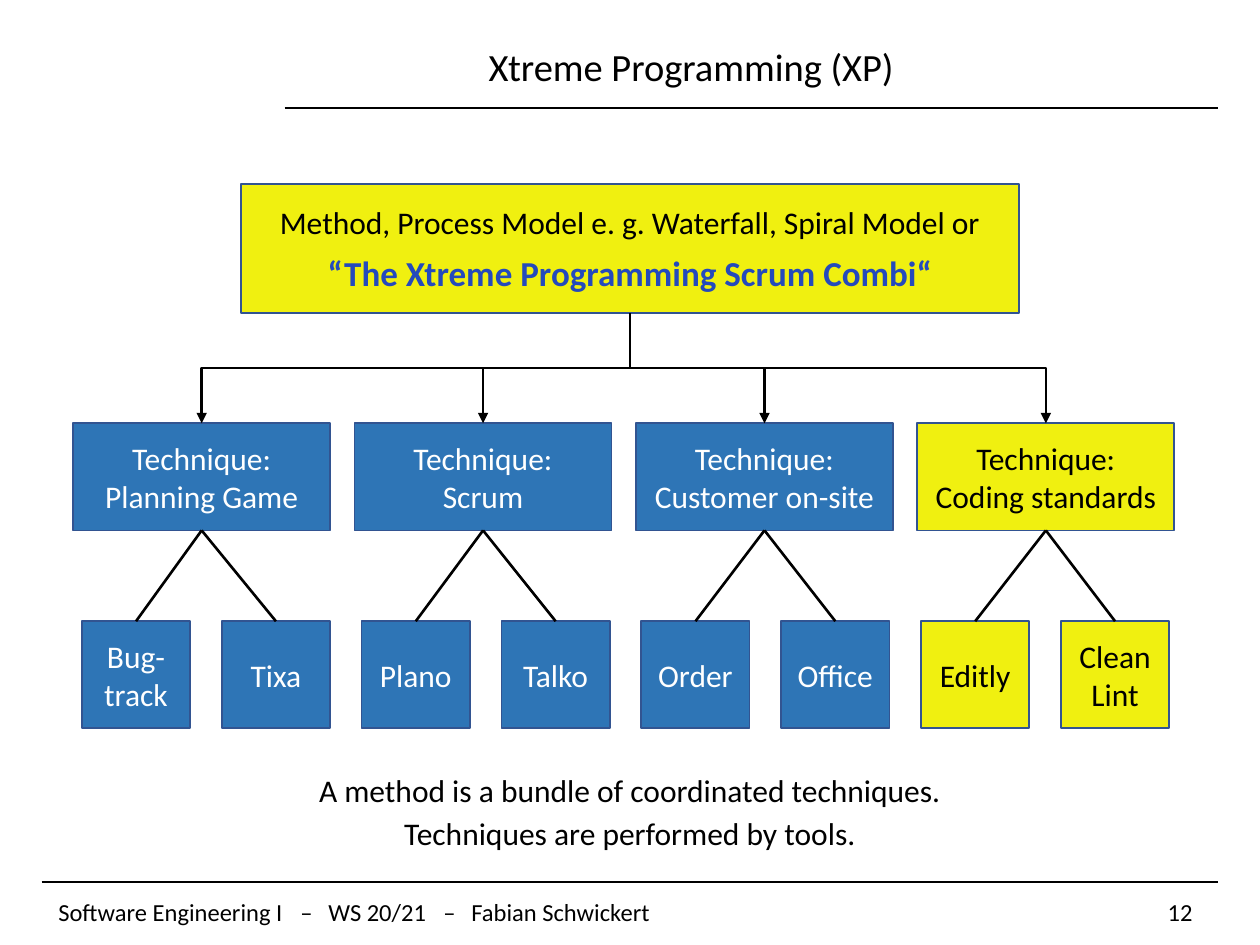
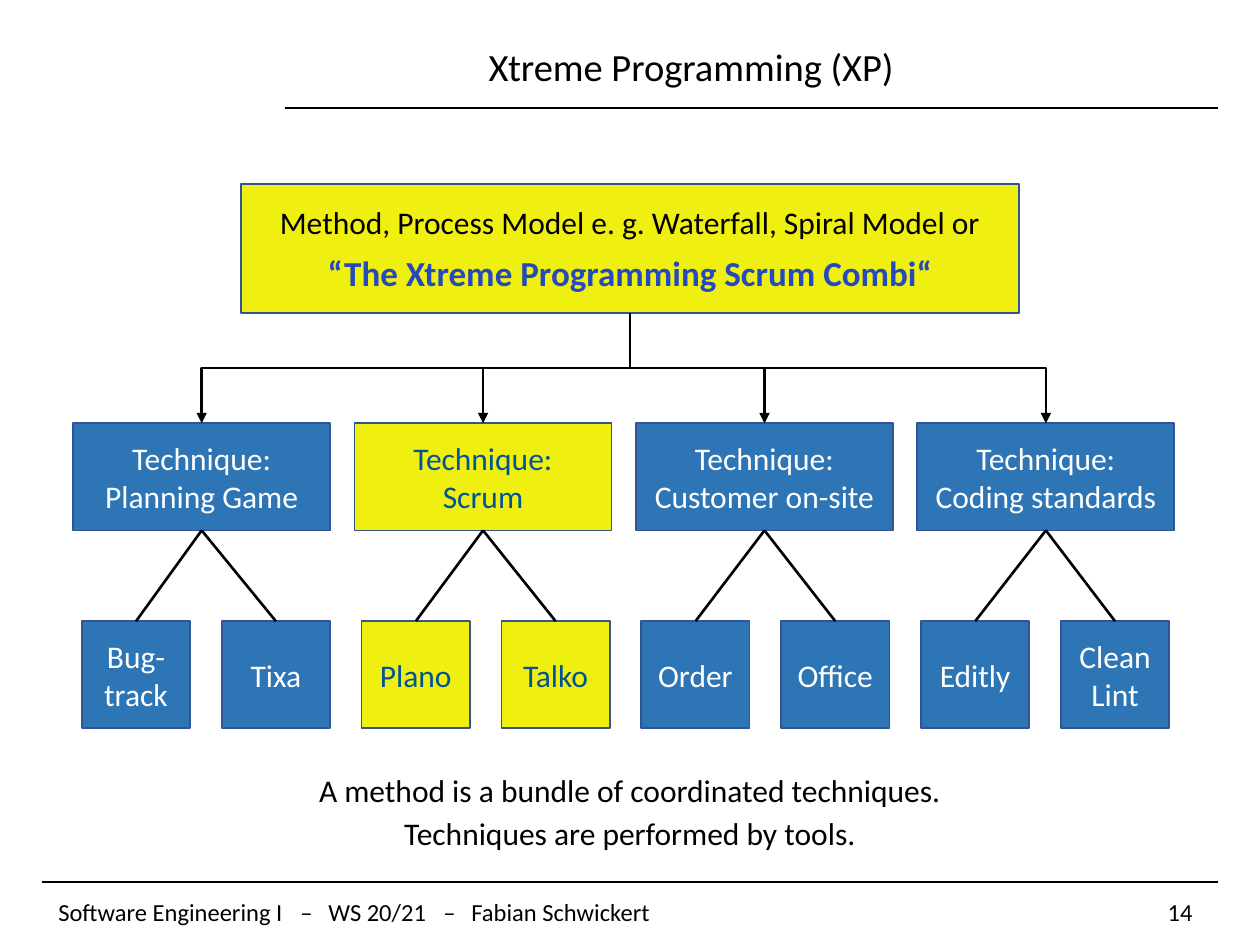
from typing import NamedTuple

from lxml.etree import SubElement
from pptx import Presentation
from pptx.dml.color import RGBColor
from pptx.enum.shapes import MSO_CONNECTOR as CONN, MSO_SHAPE
from pptx.enum.text import MSO_ANCHOR as ANCHOR, PP_ALIGN as ALIGN
from pptx.oxml.ns import qn
from pptx.util import Pt

BLACK = RGBColor(0x00, 0x00, 0x00)
WHITE = RGBColor(0xFF, 0xFF, 0xFF)
YELLOW = RGBColor(0xF0, 0xF0, 0x10)
BLUE = RGBColor(0x2E, 0x75, 0xB6)
EDGE = RGBColor(0x32, 0x54, 0x91)
COMBI = RGBColor(0x24, 0x4A, 0xBC)
NAVY = RGBColor(0x00, 0x54, 0x93)
FONT = "Calibri"

TITLE = "Xtreme Programming (XP)"
FOOTER = ("Software Engineering I", "–", "WS 20/21", "–", "Fabian Schwickert")
FOOTER_TABS = (138.3, 154.3, 220, 236)
METHOD = ("Method, Process Model e. g. Waterfall, Spiral Model or",
          "“The Xtreme Programming Scrum Combi“")
TECHNIQUES = (
    ("Planning Game", ("Bug-track", "Tixa")),
    ("Scrum", ("Plano", "Talko")),
    ("Customer on-site", ("Order", "Office")),
    ("Coding standards", ("Editly", "Clean Lint")),
)
SUMMARY = ("A method is a bundle of coordinated techniques.",
           "Techniques are performed by tools.")
SLIDES = (("12", "Coding standards", BLACK), ("14", "Scrum", NAVY))


class Box(NamedTuple):
    """A rectangle in points."""
    left: float
    top: float
    width: float
    height: float

    def inner(self, left, top, width, height):
        """Return a box placed relative to this one."""
        return Box(self.left + left, self.top + top, width, height)

    def emu(self):
        """Return the four lengths for python-pptx."""
        return [Pt(v) for v in self]


TITLE_BOX = Box(98, 20.9, 594, 33.8)
DIAGRAM_BOX = Box(41.8, 105.1, 630, 312)
SUMMARY_BOX = Box(164.9, 433.4, 390.2, 56.2)
FOOTER_BOX = Box(23.8, 504, 672.4, 26)


def write(tf, lines, size, color, align=ALIGN.CENTER):
    """Fill a text frame with uniformly formatted paragraphs."""
    tf.word_wrap = True
    tf.text = "\n".join(lines)
    for p in tf.paragraphs:
        p.alignment = align
        for r in p.runs:
            f = r.font
            f.name, f.size, f.color.rgb = FONT, Pt(size), color


def add_text(slide, box, lines, size, align=ALIGN.CENTER):
    """Add a black text box and return its text frame."""
    tf = slide.shapes.add_textbox(*box.emu()).text_frame
    write(tf, lines, size, BLACK, align)
    return tf


def add_block(slide, box, lines, fill, color):
    """Add a filled, outlined rectangle with centred text."""
    s = slide.shapes.add_shape(MSO_SHAPE.RECTANGLE, *box.emu())
    s.shadow.inherit = False
    s.fill.solid()
    s.fill.fore_color.rgb = fill
    s.line.color.rgb, s.line.width = EDGE, Pt(1)
    s.text_frame.vertical_anchor = ANCHOR.MIDDLE
    write(s.text_frame, lines, 18, color)
    return s


def add_line(slide, x1, y1, x2, y2, width, kind=CONN.STRAIGHT):
    """Add a black connector without shadow."""
    c = slide.shapes.add_connector(kind, Pt(x1), Pt(y1), Pt(x2), Pt(y2))
    c.line.color.rgb, c.line.width = BLACK, Pt(width)
    SubElement(c._element.spPr, qn("a:effectLst"))
    return c


def add_elbow_arrow(slide, x1, y1, x2, y2):
    """Add an arrow that goes down, sideways and down again."""
    mid_x, mid_y = (x1 + x2) / 2, (y1 + y2) / 2
    half_w, half_h = (y2 - y1) / 2, abs(x2 - x1) / 2
    side, turn = (1, 270) if x2 > x1 else (-1, 90)
    c = add_line(slide, mid_x + side * half_w, mid_y - half_h,
                 mid_x - side * half_w, mid_y + half_h, 1.5, CONN.ELBOW)
    c._element.spPr.find(qn("a:xfrm")).set("rot", str(turn * 60000))
    SubElement(c.line._get_or_add_ln(), qn("a:tailEnd"), type="triangle")


def add_title(slide, box):
    """Place the title and the rule below it."""
    s = slide.shapes.title
    s.left, s.top, s.width, s.height = box.emu()
    write(s.text_frame, [TITLE], 22, BLACK)
    s.text_frame.vertical_anchor = ANCHOR.MIDDLE
    rule_y = box.top + 41
    add_line(slide, box.left + 64.7, rule_y, 696.2, rule_y, 1)


def add_footer(slide, box, number):
    """Place the footer rule, the course line and the page number."""
    add_line(slide, box.left, box.top, box.left + box.width, box.top, 1)
    tf = add_text(slide, box.inner(0, 8.6, 492, 17.3), ["\t".join(FOOTER)], 14, ALIGN.LEFT)
    tf.margin_left, tf.margin_top, tf.margin_bottom = Pt(9.5), 0, 0
    tabs = SubElement(tf.paragraphs[0]._p.get_or_add_pPr(), qn("a:tabLst"))
    for pos in FOOTER_TABS:
        SubElement(tabs, qn("a:tab"), pos=str(Pt(pos)), algn="l")
    tf = add_text(slide, box.inner(636.4, 8.6, 40.3, 17.3), [number], 14, ALIGN.LEFT)
    tf.vertical_anchor = ANCHOR.MIDDLE


def add_method(slide, box):
    """Add the block for the overall method."""
    s = add_block(slide, box, METHOD, YELLOW, BLACK)
    first, second = s.text_frame.paragraphs
    first.space_after = Pt(6)
    f = second.runs[0].font
    f.size, f.bold, f.color.rgb = Pt(20), True, COMBI


def add_diagram(slide, box, marked, marked_color):
    """Draw the tree of method, techniques and tools."""
    method = box.inner(95.7, 0, 445, 73.8)
    add_method(slide, method)
    for i, (name, tools) in enumerate(TECHNIQUES):
        colors = (YELLOW, marked_color) if name == marked else (BLUE, WHITE)
        place = box.inner(160.8 * i, 136.8, 146.9, 61.2)
        technique = add_block(slide, place, ["Technique:", name], *colors)
        for j, tool in enumerate(tools, 2 * i):
            tool_place = box.inner(5 + 79.92 * j, 249.9, 61.9, 61.2)
            s = add_block(slide, tool_place, [tool], *colors)
            c = add_line(slide, 0, 0, 0, 0, 1.5)
            c.begin_connect(technique, 2)
            c.end_connect(s, 0)
        add_elbow_arrow(slide, method.left + method.width / 2, method.top + method.height,
                        place.left + place.width / 2, place.top)


def add_summary(slide, box):
    """Add the two closing sentences."""
    for p in add_text(slide, box, SUMMARY, 18).paragraphs:
        p.line_spacing = Pt(25)


def add_technique_slide(prs, number, marked, marked_color):
    """Build one slide with one technique highlighted."""
    slide = prs.slides.add_slide(prs.slide_layouts[5])
    add_title(slide, TITLE_BOX)
    add_diagram(slide, DIAGRAM_BOX, marked, marked_color)
    add_summary(slide, SUMMARY_BOX)
    add_footer(slide, FOOTER_BOX, number)


def main():
    """Build and save the presentation."""
    prs = Presentation()
    prs.slide_width, prs.slide_height = Pt(720), Pt(540)
    for content in SLIDES:
        add_technique_slide(prs, *content)
    prs.save("out.pptx")


if __name__ == "__main__":
    main()
